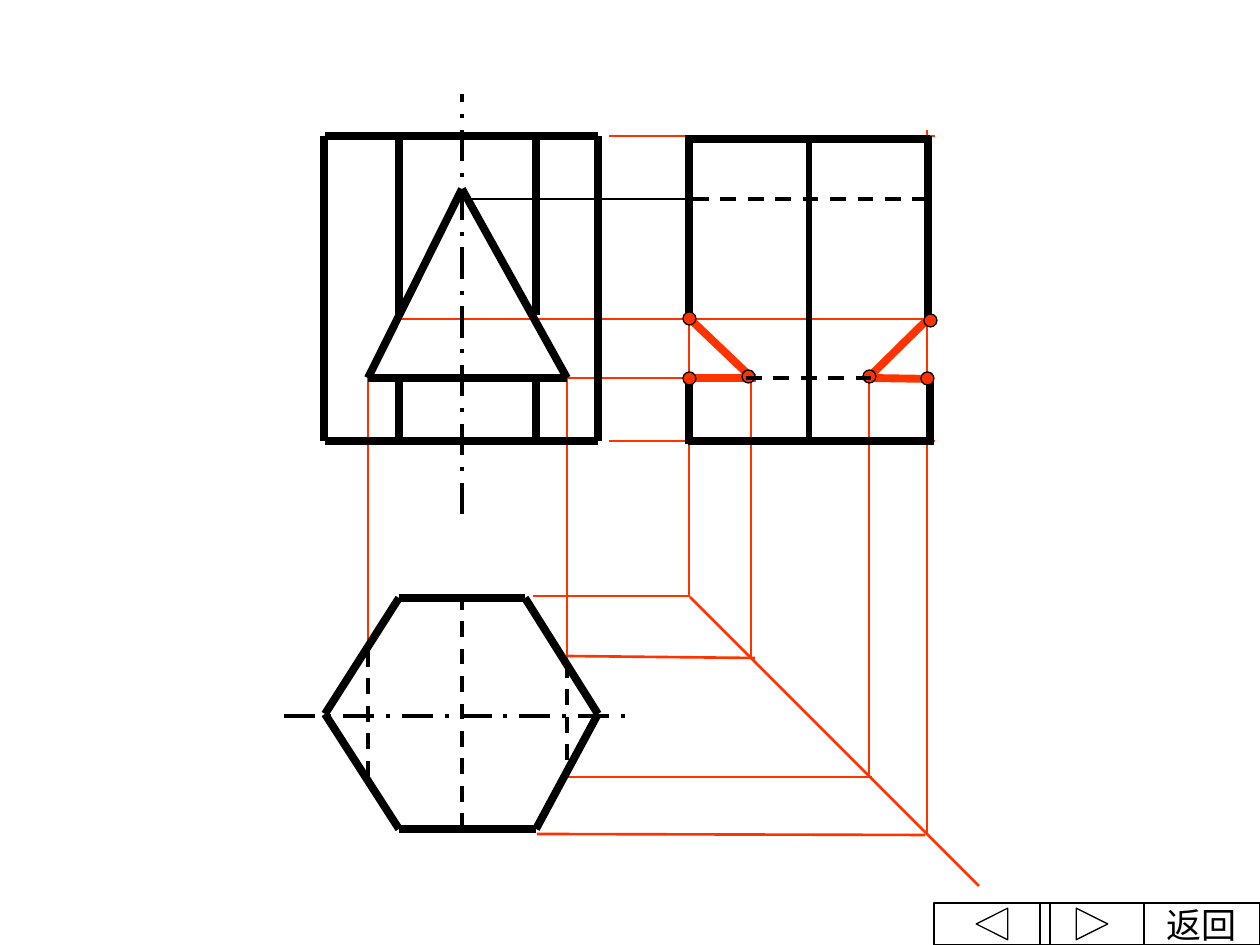
from pptx import Presentation
from pptx.dml.color import RGBColor
from pptx.enum.dml import MSO_LINE
from pptx.enum.shapes import MSO_CONNECTOR, MSO_SHAPE
from pptx.enum.text import MSO_ANCHOR, PP_ALIGN
from pptx.oxml.ns import qn
from pptx.util import Emu, Pt
from lxml.etree import SubElement

RED = RGBColor(0xFF, 0x33, 0x00)
BLACK = RGBColor(0x00, 0x00, 0x00)
SCALE = 914400 / 126

PROJECTION = {"color": RED, "width": Pt(1.5)}
CUT = {"color": RED, "width": Pt(4.5)}
OUTLINE = {"color": BLACK, "width": Pt(4.5)}
INNER_EDGE = {"color": BLACK, "width": Pt(3)}
THIN = {"color": BLACK, "width": Pt(1)}
BORDER = {"color": BLACK, "width": Pt(0.75)}
HIDDEN = {"color": BLACK, "width": Pt(2.25), "dash_style": MSO_LINE.DASH}
AXIS = {"color": BLACK, "width": Pt(2.25), "dash_style": MSO_LINE.LONG_DASH_DOT}


def px(*values):
    return [Emu(round(value * SCALE)) for value in values]


def format_line(line, pen):
    line.fill.solid()
    line.color.rgb = pen["color"]
    for name, value in pen.items():
        if name != "color":
            setattr(line, name, value)


deck = Presentation()
deck.slide_width, deck.slide_height = px(1260, 945)
page = deck.slides.add_slide(deck.slide_layouts[6])

projection_lines = [
    (609, 136, 935, 136), (609, 441, 935, 441), (533, 596, 690, 596),
    (689, 137, 689, 596), (690, 597, 979, 886), (537, 834, 925, 835),
    (927, 833, 927, 130), (368, 378, 368, 651), (567, 378, 567, 662),
    (567, 656, 755, 658), (751, 658, 751, 374), (568, 777, 872, 777),
    (869, 378, 869, 777), (399, 319, 935, 319), (567, 378, 756, 378),
]
cut_edges = [
    (929, 318, 868, 378), (871, 378, 934, 379),
    (689, 318, 753, 379), (688, 378, 756, 378),
]
side_outline = [
    (689, 377, 689, 444), (688, 441, 930, 441), (930, 445, 930, 378),
    (928, 319, 928, 136), (685, 139, 930, 139), (689, 136, 689, 320),
]
front_outline = [
    (324, 136, 324, 441), (325, 136, 598, 136),
    (598, 136, 598, 441), (598, 441, 325, 441),
]
front_edges = [
    (x, start, x, end)
    for start, end in [(441, 378), (315, 136)]
    for x in (399, 536)
]
triangle = [(462, 189), (368, 378), (567, 378)]
hexagon = [(399, 598), (325, 714), (399, 829), (536, 829), (598, 714), (525, 598)]
polygon_edges = [
    (*start, *end)
    for corners in (triangle, hexagon)
    for start, end in zip(corners, corners[1:] + corners[:1])
]
cut_points = [(683, 312), (924, 314), (683, 372), (921, 372), (742, 370), (863, 370)]

under_points = [
    (PROJECTION, projection_lines),
    (CUT, cut_edges),
    (HIDDEN, [(368, 651, 368, 788), (567, 662, 567, 777)]),
    (INNER_EDGE, [(809, 441, 809, 136)]),
    (OUTLINE, side_outline),
]
over_points = [
    (HIDDEN, [(746, 378, 872, 378), (693, 199, 924, 199)]),
    (THIN, [(462, 199, 693, 199)]),
    (OUTLINE, front_outline + front_edges + polygon_edges),
    (AXIS, [(462, 514, 462, 94), (284, 716, 631, 716)]),
    (HIDDEN, [(462, 829, 462, 598)]),
]

for layer, points in [(under_points, cut_points), (over_points, [])]:
    for pen, segments in layer:
        for segment in segments:
            edge = page.shapes.add_connector(MSO_CONNECTOR.STRAIGHT, *px(*segment))
            format_line(edge.line, pen)
            SubElement(edge._element.spPr, qn("a:effectLst"))
    for left, top in points:
        point = page.shapes.add_shape(MSO_SHAPE.OVAL, *px(left, top, 13, 13))
        point.shadow.inherit = False
        point.fill.solid()
        point.fill.fore_color.rgb = RED
        format_line(point.line, BORDER)

buttons = [
    (MSO_SHAPE.ACTION_BUTTON_CUSTOM, 1144, 116, "返回"),
    (MSO_SHAPE.ACTION_BUTTON_BACK_OR_PREVIOUS, 934, 116, ""),
    (MSO_SHAPE.ACTION_BUTTON_FORWARD_OR_NEXT, 1040, 104, ""),
]
for kind, left, width, label in buttons:
    button = page.shapes.add_shape(kind, *px(left, 903, width, 42))
    button.shadow.inherit = False
    button.fill.background()
    format_line(button.line, BORDER)
    if label:
        frame = button.text_frame
        frame.word_wrap = False
        frame.vertical_anchor = MSO_ANCHOR.MIDDLE
        para = frame.paragraphs[0]
        para.alignment = PP_ALIGN.CENTER
        span = para.add_run()
        span.text = label
        for name, value in {"name": "Times New Roman", "size": Pt(20)}.items():
            setattr(span.font, name, value)
        span.font.color.rgb = BLACK

deck.save("out.pptx")
